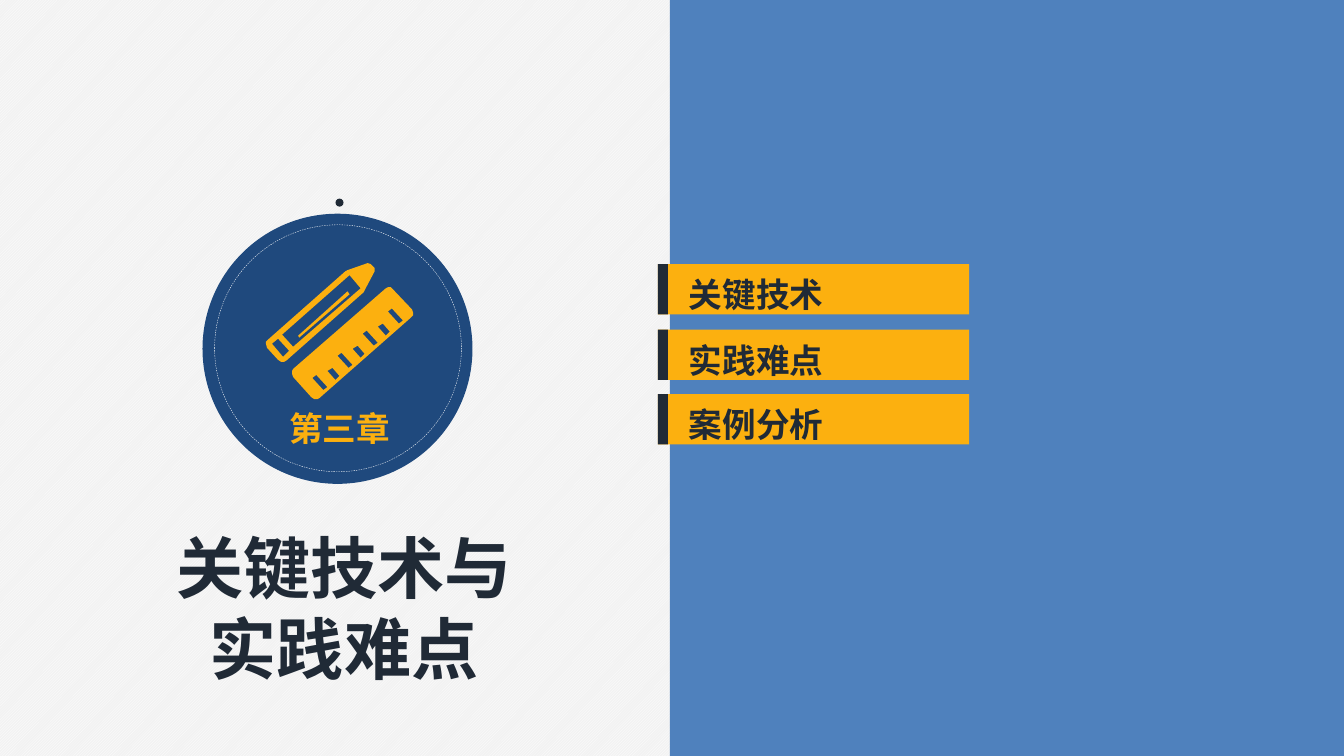
from dataclasses import dataclass

from lxml import etree
from pptx import Presentation
from pptx.dml.color import RGBColor
from pptx.enum.dml import MSO_LINE, MSO_PATTERN
from pptx.enum.shapes import MSO_SHAPE
from pptx.enum.text import MSO_ANCHOR, MSO_AUTO_SIZE, PP_ALIGN
from pptx.oxml.ns import qn
from pptx.util import Pt

RECT, OVAL = MSO_SHAPE.RECTANGLE, MSO_SHAPE.OVAL
LEFT, CENTER = PP_ALIGN.LEFT, PP_ALIGN.CENTER
TOP, MIDDLE = MSO_ANCHOR.TOP, MSO_ANCHOR.MIDDLE
PX = 9144

TITLE = "关键技术与\n实践难点"
CHAPTER = "第三章"
TOPICS = ["关键技术", "实践难点", "案例分析"]


@dataclass(frozen=True)
class Theme:
    font: str = "Noto Sans CJK SC"
    paper: str = "F2F2F2"
    white: str = "FFFFFF"
    panel: str = "4F81BD"
    badge: str = "1F497D"
    accent: str = "FCB00F"
    ink: str = "202A36"
    title: int = 48
    label: int = 24


THEME = Theme()

PANEL = (665, 0, 669, 750)
BADGE = (201, 212, 268, 268)
BADGE_RING = (213, 223, 245, 245)
BADGE_DOT = (333, 197, 8, 8)
CHAPTER_BOX = (207, 399, 260, 52)
TITLE_BOX = (163, 517, 357, 172)
TOPIC_LEFT, TOPIC_TOP, TOPIC_WIDTH, TOPIC_HEIGHT = 653, 262, 309, 50
TOPIC_TAB, TOPIC_INDENT, TOPIC_DROP, TOPIC_TEXT_WIDTH = 10, 21, 5, 155
TWO_TOPIC_PITCHES = 129

PENCIL = [
    [(276, 357), (265, 345), (264, 341), (264, 339), (266, 337), (343, 269), (345, 268),
     (365, 261), (368, 262), (370, 264), (372, 266), (372, 269), (362, 288), (361, 290),
     (284, 358), (282, 359), (279, 359)],
    [(358, 286), (347, 273), (280, 332), (291, 344)],
    [(287, 348), (276, 336), (270, 341), (281, 354)],
    [(297, 335), (296, 333), (345, 289), (347, 292)],
]
RULER = [(309, 394), (291, 374), (290, 371), (290, 368), (291, 366), (383, 286), (385, 285),
         (388, 285), (390, 287), (409, 307), (410, 310), (410, 313), (408, 315), (317, 395),
         (315, 396), (312, 396)]
TICK_COUNT = 7
TICK_START = (325, 384)
TWO_TICK_STEPS = (25, -22)
LONG_TICK = [(0, 0), (-11, -12), (-15, -9), (-4, 3)]
SHORT_TICK = [(0, 0), (-7, -8), (-12, -5), (-4, 4)]


def rgb(color):
    return RGBColor.from_string(color)


def emu(box):
    return [length * PX for length in box]


def add_block(slide, kind, box, fill):
    block = slide.shapes.add_shape(kind, *emu(box))
    block.shadow.inherit = False
    block.line.fill.background()
    if fill:
        block.fill.solid()
        block.fill.fore_color.rgb = rgb(fill)
    else:
        block.fill.background()
    return block


def write(holder, text, size, color, align=LEFT, anchor=TOP, wrap=False):
    frame = holder.text_frame
    frame.text = text
    frame.word_wrap = wrap
    frame.auto_size = MSO_AUTO_SIZE.NONE
    frame.vertical_anchor = anchor
    for paragraph in frame.paragraphs:
        paragraph.alignment = align
        font = paragraph.font
        font.size, font.bold, font.name = Pt(size), True, THEME.font
        font.color.rgb = rgb(color)
        defaults = paragraph._p.pPr.find(qn("a:defRPr"))
        etree.SubElement(defaults, qn("a:ea"), typeface=THEME.font)


def add_topic(slide, index, topic):
    top = TOPIC_TOP + (TWO_TOPIC_PITCHES * index + 1) // 2
    add_block(slide, RECT, (TOPIC_LEFT, top, TOPIC_WIDTH, TOPIC_HEIGHT), THEME.accent)
    add_block(slide, RECT, (TOPIC_LEFT, top, TOPIC_TAB, TOPIC_HEIGHT), THEME.ink)
    label_box = (TOPIC_LEFT + TOPIC_INDENT, top + TOPIC_DROP, TOPIC_TEXT_WIDTH, TOPIC_HEIGHT)
    write(slide.shapes.add_textbox(*emu(label_box)), topic, THEME.label, THEME.ink)


def ruler_ticks():
    for index in range(TICK_COUNT):
        x, y = (start + step * index // 2 for start, step in zip(TICK_START, TWO_TICK_STEPS))
        tick = SHORT_TICK if index % 2 else LONG_TICK
        yield [(x + dx, y + dy) for dx, dy in tick]


def add_tools_icon(slide):
    outlines = [*PENCIL, RULER, *ruler_ticks()]
    builder = slide.shapes.build_freeform(*outlines[0][0], scale=PX)
    builder.add_line_segments(outlines[0][1:], close=True)
    for start, *rest in outlines[1:]:
        builder.move_to(*start)
        builder.add_line_segments(rest, close=True)
    icon = builder.convert_to_shape()
    icon.shadow.inherit = False
    icon.fill.solid()
    icon.fill.fore_color.rgb = rgb(THEME.accent)
    icon.line.fill.background()


def main():
    deck = Presentation()
    deck.slide_width, deck.slide_height = emu((1334, 750))
    slide = deck.slides.add_slide(deck.slide_layouts[5])

    paper = slide.background.fill
    paper.patterned()
    paper.pattern = MSO_PATTERN.LIGHT_UPWARD_DIAGONAL
    paper.fore_color.rgb = rgb(THEME.white)
    paper.back_color.rgb = rgb(THEME.paper)

    title = slide.shapes.title
    title.left, title.top, title.width, title.height = emu(TITLE_BOX)
    write(title, TITLE, THEME.title, THEME.ink, CENTER)

    add_block(slide, RECT, PANEL, THEME.panel)
    for index, topic in enumerate(TOPICS):
        add_topic(slide, index, topic)

    add_block(slide, OVAL, BADGE, THEME.badge)
    add_block(slide, OVAL, BADGE_DOT, THEME.ink)
    chapter = slide.shapes.add_textbox(*emu(CHAPTER_BOX))
    write(chapter, CHAPTER, THEME.label, THEME.accent, CENTER, MIDDLE, True)
    ring = add_block(slide, OVAL, BADGE_RING, None)
    ring.line.color.rgb = rgb(THEME.white)
    ring.line.width = Pt(0.25)
    ring.line.dash_style = MSO_LINE.DASH
    add_tools_icon(slide)

    deck.save("out.pptx")


if __name__ == "__main__":
    main()
